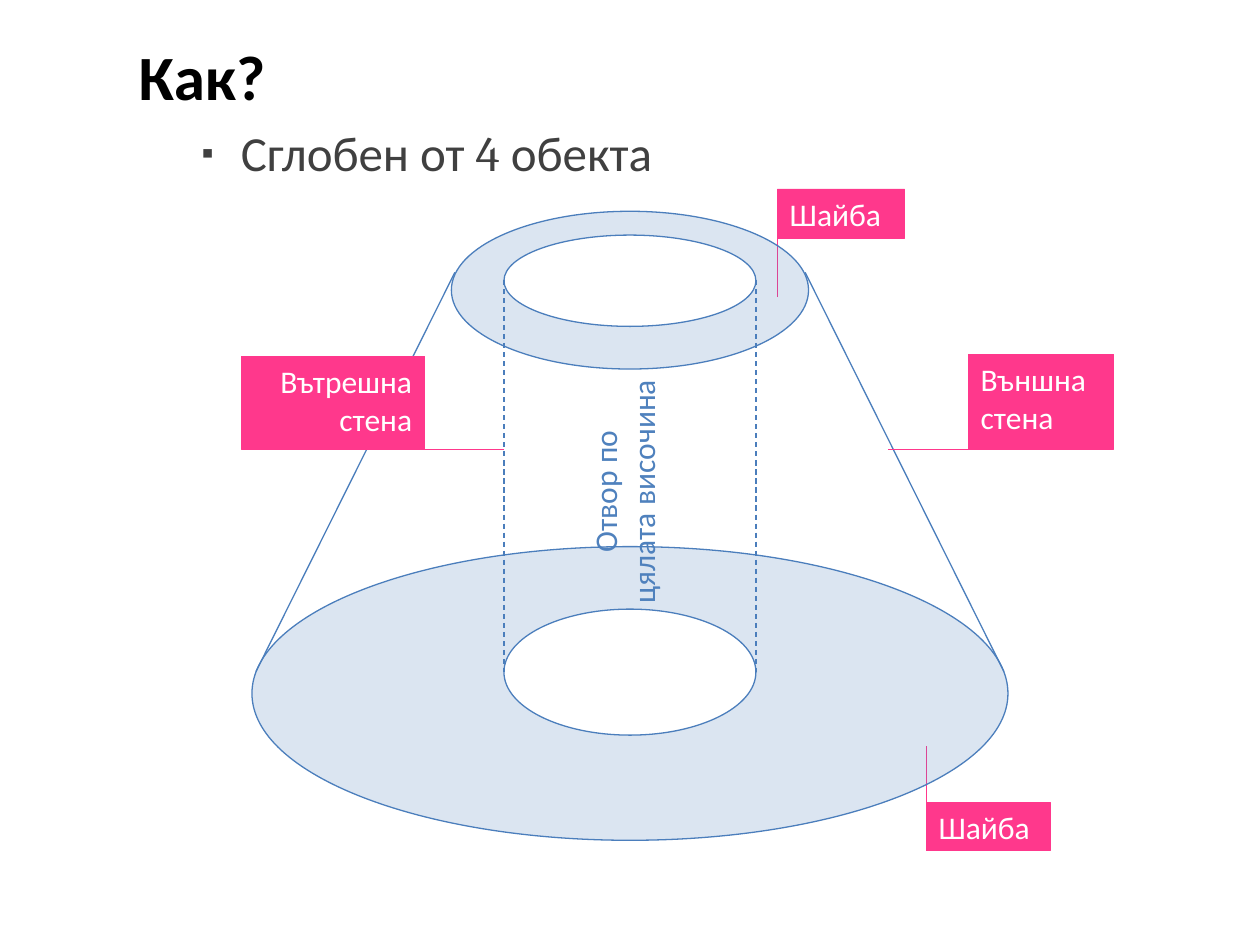
import lxml.etree
import pptx
import pptx.dml.color
import pptx.enum.dml
import pptx.enum.shapes
import pptx.enum.text
import pptx.oxml.ns
import pptx.util

Cm = pptx.util.Cm
Pt = pptx.util.Pt
ALIGN = pptx.enum.text.PP_ALIGN
qn = pptx.oxml.ns.qn


def color(value):
    return pptx.dml.color.RGBColor.from_string(value)


def add_element(parent, tag, **attributes):
    return lxml.etree.SubElement(parent, qn(tag), attributes)


def ellipse_corners(center_x, center_y, radius_x, radius_y):
    """Return top, right, bottom, left and top again."""
    turns = [(0, -1), (1, 0), (0, 1), (-1, 0), (0, -1)]
    return [(Cm(center_x + radius_x * across), Cm(center_y + radius_y * down))
            for across, down in turns]


def round_segments(freeform):
    """Turn the straight quarters of each outline into elliptic arcs."""
    bend = 0.5523
    start, quarter = None, 0
    for segment in list(freeform.element.spPr.iter(qn("a:moveTo"), qn("a:lnTo"))):
        point = segment.find(qn("a:pt"))
        end = int(point.get("x")), int(point.get("y"))
        if segment.tag == qn("a:moveTo"):
            quarter = 0
        else:
            corner = (end[0], start[1]) if quarter % 2 == 0 else (start[0], end[1])
            arc = lxml.etree.Element(qn("a:cubicBezTo"))
            for anchor, pull in ((start, bend), (end, bend), (end, 0)):
                x, y = (round(a + pull * (c - a)) for a, c in zip(anchor, corner))
                add_element(arc, "a:pt", x=str(x), y=str(y))
            segment.getparent().replace(segment, arc)
            quarter += 1
        start = end


class ConeSlide:
    """Holds the style and the current slide."""

    font_name = "Calibri"
    outline = "4B7EBC"
    accent = "4F81BD"
    label_fill = "FF388C"
    bullet_gray = "404040"

    def __init__(self, deck):
        self.page = deck.slides.add_slide(deck.slide_layouts[1])
        self.shapes = self.page.shapes

    def style_font(self, font, size, value, bold=False):
        font.name, font.size, font.bold = self.font_name, Pt(size), bold
        font.color.rgb = color(value)

    def heading_and_bullet(self, heading, spans):
        """Fill the body placeholder; spans are (text, font name) pairs."""
        title = self.shapes.title
        title.element.getparent().remove(title.element)
        body = self.page.placeholders[1]
        body.left, body.top = Cm(2.54), Cm(0.63)
        body.width, body.height = Cm(22.66), Cm(18.21)
        frame = body.text_frame
        frame.auto_size = pptx.enum.text.MSO_AUTO_SIZE.NONE

        first = frame.paragraphs[0]
        first.text = heading
        properties = first._p.get_or_add_pPr()
        properties.set("marL", "0")
        properties.set("indent", "0")
        add_element(properties, "a:buNone")
        self.style_font(first.font, 36, "000000", bold=True)

        second = frame.add_paragraph()
        second.level = 1
        properties = second._p.get_or_add_pPr()
        properties.set("marL", str(Cm(2.06)))
        properties.set("indent", str(Cm(-0.79)))
        bullet_color = add_element(properties, "a:buClr")
        add_element(bullet_color, "a:srgbClr", val=self.bullet_gray)
        add_element(properties, "a:buSzPct", val="70000")
        add_element(properties, "a:buFont", typeface="Arial")
        add_element(properties, "a:buChar", char="▪")
        self.style_font(second.font, 28, self.bullet_gray)
        for text, font_name in spans:
            span = second.add_run()
            span.text = text
            span.font.name = font_name

    def line(self, start, end, value=outline, width=0.75, dashed=False):
        connector = self.shapes.add_connector(
            pptx.enum.shapes.MSO_CONNECTOR.STRAIGHT,
            *(Cm(length) for length in start + end))
        connector.line.color.rgb = color(value)
        connector.line.width = Pt(width)
        if dashed:
            connector.line.dash_style = pptx.enum.dml.MSO_LINE.DASH
        add_element(connector.element.spPr, "a:effectLst")

    def label(self, text, place, start, end, align=ALIGN.LEFT):
        """Draw a filled label and its leader line."""
        box = self.shapes.add_shape(
            pptx.enum.shapes.MSO_SHAPE.RECTANGLE,
            *(Cm(length) for length in place))
        box.shadow.inherit = False
        box.fill.solid()
        box.fill.fore_color.rgb = color(self.label_fill)
        box.line.color.rgb = color(self.label_fill)
        box.line.width = Pt(0.25)
        box.text_frame.vertical_anchor = pptx.enum.text.MSO_ANCHOR.TOP
        para = box.text_frame.paragraphs[0]
        para.text = text
        para.alignment = align
        para.space_before = Pt(1.5)
        self.style_font(para.font, 18, "FFFFFF")
        self.line(start, end, self.label_fill, 0.25)

    def vertical_text(self, text, place):
        box = self.shapes.add_textbox(*(Cm(length) for length in place))
        box.rotation = 270
        box.text_frame.word_wrap = True
        box.text_frame.vertical_anchor = pptx.enum.text.MSO_ANCHOR.MIDDLE
        para = box.text_frame.paragraphs[0]
        para.text = text
        para.alignment = ALIGN.CENTER
        self.style_font(para.font, 18, self.accent)

    def washer(self, outer, hole):
        """Draw a translucent ring between two ellipses."""
        inside = ellipse_corners(*hole)[::-1]
        rim = ellipse_corners(*outer)
        builder = self.shapes.build_freeform(*inside[0])
        builder.add_line_segments(inside[1:], close=True)
        builder.move_to(*rim[0])
        builder.add_line_segments(rim[1:], close=True)
        ring = builder.convert_to_shape()
        round_segments(ring)
        ring.shadow.inherit = False
        ring.fill.solid()
        ring.fill.fore_color.rgb = color(self.accent)
        fill_color = ring.element.spPr.find(qn("a:solidFill")).find(qn("a:srgbClr"))
        add_element(fill_color, "a:alpha", val="20000")
        ring.line.color.rgb = color(self.outline)
        ring.line.width = Pt(0.75)


def main():
    deck = pptx.Presentation()
    deck.slide_width, deck.slide_height = Cm(25.4), Cm(19.05)
    cone = ConeSlide(deck)
    cone.heading_and_bullet("Как?", [
        ("Сглобен от ", "Calibri"), ("4", "Cambria"), (" обекта", "Calibri")])

    axis, hole_radius = 12.7, 2.54
    top_hole, bottom_hole = 5.66, 13.55
    for side in (-1, 1):
        wall = axis + side * hole_radius
        cone.line((wall, 5.64), (wall, bottom_hole), dashed=True)
    for side in (1, -1):
        cone.line((axis + side * 3.53, 5.49), (axis + side * 7.54, 13.54))

    cone.label("Външна\nстена", (19.52, 7.14, 2.93, 1.91),
               (17.91, 9.05), (20.37, 9.05))
    cone.label("Вътрешна\nстена", (4.87, 7.18, 3.69, 1.88),
               (axis - hole_radius, 9.05), (7.7, 9.05), ALIGN.RIGHT)
    cone.label("Шайба", (15.67, 3.81, 2.57, 0.99), (15.67, 5.99), (15.67, 3.81))
    cone.label("Шайба", (18.67, 16.17, 2.5, 0.98), (18.67, 15.04), (18.67, 17.15))
    cone.vertical_text("Отвор по\nцялата височина", (8.71, 9.26, 7.72, 1.3))

    cone.washer((axis, 5.85, 3.6, 1.59), (axis, top_hole, hole_radius, 0.92))
    cone.washer((axis, 13.98, 7.62, 2.96), (axis, bottom_hole, hole_radius, 1.27))
    deck.save("out.pptx")


if __name__ == "__main__":
    main()
